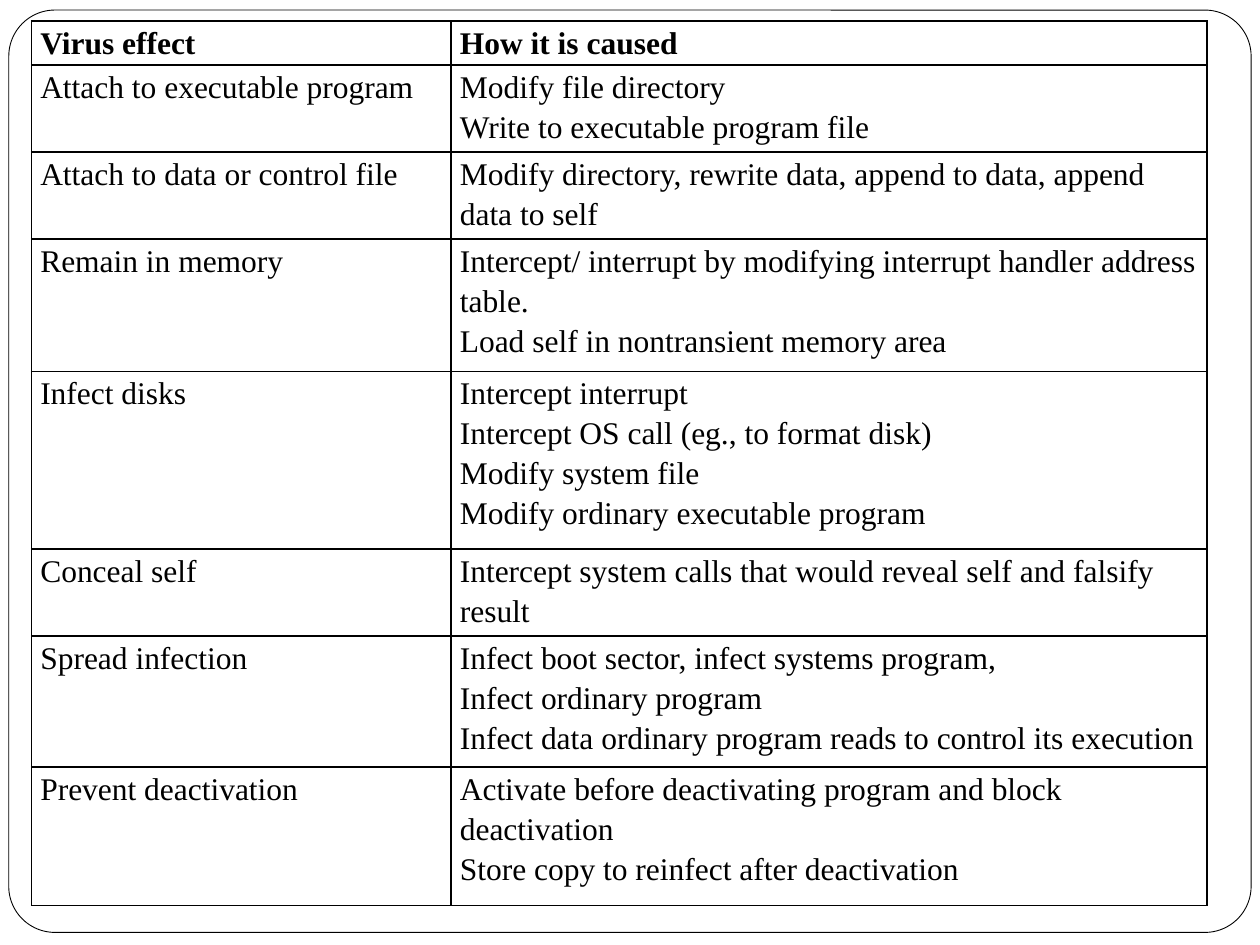
from typing import NamedTuple

from lxml.etree import SubElement
from pptx import Presentation
from pptx.dml.color import RGBColor
from pptx.enum.shapes import MSO_SHAPE as Shape
from pptx.oxml.ns import qn
from pptx.util import Pt

INK, PAPER = "000000", "FFFFFF"
FONT = "Times New Roman"
COLS = (239.76, 432)


class Row(NamedTuple):
    high: float
    effect: str
    cause: str
    bold: bool = False


ROWS = [
    Row(25.2, "Virus effect", "How it is caused", bold=True),
    Row(49.7, "Attach to executable program",
        "Modify file directory\nWrite to executable program file"),
    Row(49.7, "Attach to data or control file",
        "Modify directory, rewrite data, append to data, append data to self"),
    Row(75.6, "Remain in memory",
        "Intercept/ interrupt by modifying interrupt handler address table.\n"
        "Load self in nontransient memory area"),
    Row(101.5, "Infect disks",
        "Intercept interrupt\nIntercept OS call (eg., to format disk)\n"
        "Modify system file\nModify ordinary executable program"),
    Row(49.7, "Conceal self",
        "Intercept system calls that would reveal self and falsify result"),
    Row(74.9, "Spread infection",
        "Infect boot sector, infect systems program,\nInfect ordinary program\n"
        "Infect data ordinary program reads to control its execution"),
    Row(79.2, "Prevent deactivation",
        "Activate before deactivating program and block deactivation\n"
        "Store copy to reinfect after deactivation"),
]


def color(code: str) -> RGBColor:
    return RGBColor.from_string(code)


def write(frame, text: str, *, size: float = 18, bold: bool = False,
          ink: str = INK, lead: float = 1.15) -> None:
    frame.text = text
    for para in frame.paragraphs:
        para.line_spacing = lead
        for run in para.runs:
            font = run.font
            font.name, font.size, font.bold = FONT, Pt(size), bold
            font.color.rgb = color(ink)


def border(cell, wide: float = 1, ink: str = INK) -> None:
    props = cell._tc.get_or_add_tcPr()
    for spot, side in enumerate(("a:lnL", "a:lnR", "a:lnT", "a:lnB")):
        line = SubElement(props, qn(side), w=str(Pt(wide)))
        fill = SubElement(line, qn("a:solidFill"))
        SubElement(fill, qn("a:srgbClr"), val=ink)
        props.insert(spot, line)  # borders come before the fill


def fill_cell(cell, text: str, bold: bool) -> None:
    cell.margin_left = cell.margin_right = Pt(5.04)
    cell.margin_top = cell.margin_bottom = Pt(0)
    cell.fill.background()
    border(cell)
    write(cell.text_frame, text, bold=bold)


def draw_frame(slide) -> None:
    frame = slide.shapes.add_shape(
        Shape.ROUNDED_RECTANGLE, Pt(5.04), Pt(5.76), Pt(709.92), Pt(527.04))
    frame.adjustments[0] = 0.05
    frame.shadow.inherit = False
    frame.fill.solid()
    frame.fill.fore_color.rgb = color(PAPER)
    frame.line.color.rgb = color(INK)
    frame.line.width = Pt(0.5)


def draw_table(slide, rows: list[Row]) -> None:
    table = slide.shapes.add_table(
        len(rows), len(COLS), Pt(18), Pt(12), Pt(sum(COLS)),
        Pt(sum(row.high for row in rows))).table
    table.first_row = table.horz_banding = False
    for col, wide in zip(table.columns, COLS):
        col.width = Pt(wide)
    for line, row in zip(table.rows, rows):
        line.height = Pt(row.high)
        for cell, text in zip(line.cells, (row.effect, row.cause)):
            fill_cell(cell, text, row.bold)


def main() -> None:
    deck = Presentation()
    deck.slide_width, deck.slide_height = Pt(720), Pt(540)
    slide = deck.slides.add_slide(deck.slide_layouts[6])
    slide.background.fill.solid()
    slide.background.fill.fore_color.rgb = color(PAPER)

    # Rounded page frame
    draw_frame(slide)
    # Virus effects and their causes
    draw_table(slide, ROWS)

    deck.save("out.pptx")


if __name__ == "__main__":
    main()
